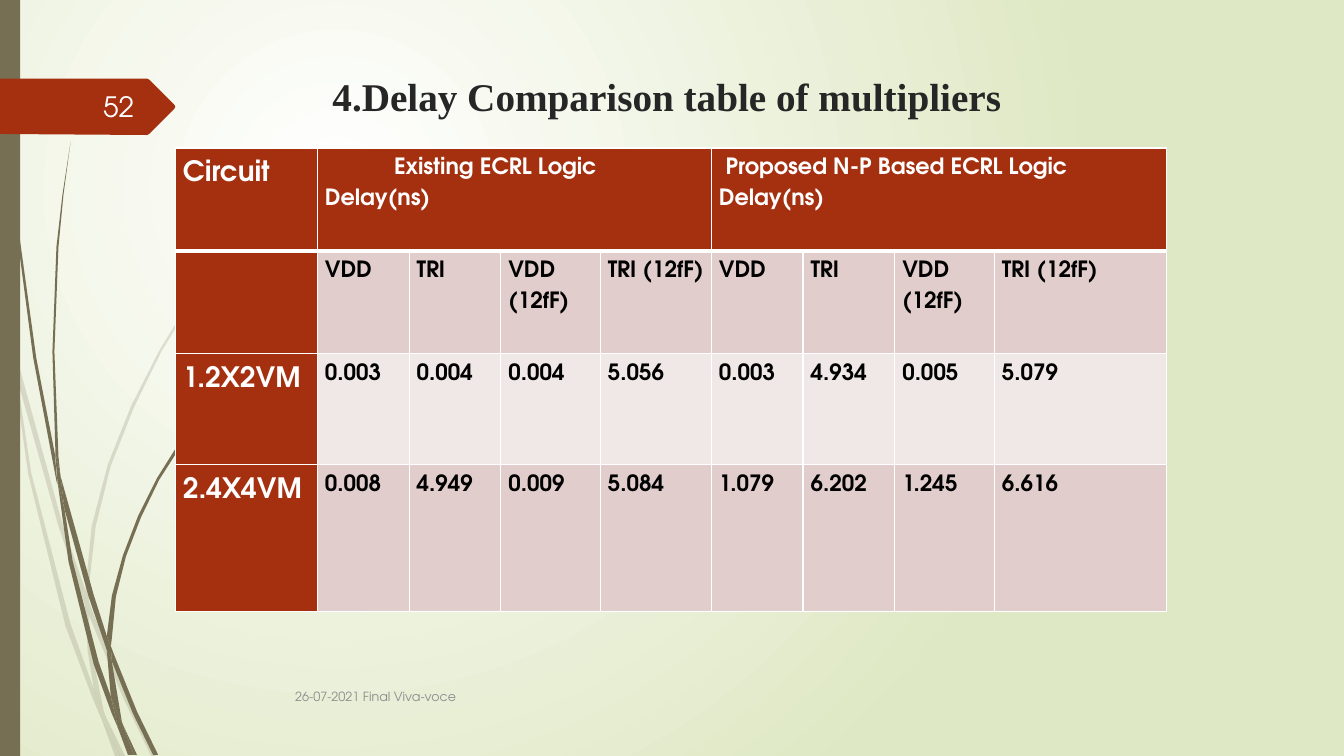
from lxml import etree
from pptx import Presentation
from pptx.dml.color import RGBColor
from pptx.enum.shapes import MSO_SHAPE
from pptx.enum.text import MSO_ANCHOR, PP_ALIGN
from pptx.oxml.ns import qn
from pptx.util import Cm, Pt

RECT = MSO_SHAPE.RECTANGLE
TOP, MIDDLE = MSO_ANCHOR.TOP, MSO_ANCHOR.MIDDLE
LEFT, RIGHT = PP_ALIGN.LEFT, PP_ALIGN.RIGHT

WHITE = RGBColor(0xFF, 0xFF, 0xFF)
BLACK = RGBColor(0x00, 0x00, 0x00)
GREEN = RGBColor(0xDF, 0xE8, 0xC4)
OLIVE = RGBColor(0x76, 0x6F, 0x54)
RUST = RGBColor(0xA5, 0x30, 0x10)
ROSE = RGBColor(0xE1, 0xCD, 0xCC)
PALE = RGBColor(0xF0, 0xE8, 0xE7)
DARK = RGBColor(0x26, 0x26, 0x26)
GRAY = RGBColor(0x8C, 0x8C, 0x8C)

# Outlines are in hundredths of an inch.
UNIT = Cm(2.54) / 100
BACK = [
    [(11, 350), (9, 322), (0, 282), (0, 299), (10, 344)],
    [(58, 522), (84, 599), (85, 586), (62, 520), (14, 345), (17, 376)],
    [(92, 607), (88, 596), (88, 610), (123, 694), (150, 750), (155, 750),
     (127, 692)],
    [(119, 750), (124, 750), (105, 711)],
    [(93, 683), (70, 619), (31, 469), (17, 376), (11, 350), (28, 470),
     (65, 621), (92, 693), (101, 714), (99, 707)],
    [(84, 599), (87, 646), (93, 683), (96, 692), (105, 711), (103, 706),
     (91, 646), (88, 610), (88, 608)],
    [(88, 584), (95, 522), (110, 462), (133, 404), (160, 349), (193, 295),
     (229, 245), (268, 198), (290, 175), (312, 154), (312, 153), (289, 175),
     (268, 197), (228, 244), (191, 294), (158, 348), (130, 403), (107, 461),
     (91, 522), (85, 584), (85, 586), (88, 596)],
    [(101, 714), (114, 750), (119, 750)],
    [(88, 608), (88, 610), (88, 596), (85, 586), (84, 599)],
    [(96, 692), (93, 683), (99, 707), (101, 714), (119, 750), (105, 711)],
]
FRONT = [
    [(7, 110), (17, 233), (33, 355), (56, 477), (57, 481), (55, 457),
     (55, 453), (36, 355), (19, 232), (8, 109), (5, 48), (4, 0), (3, 0),
     (4, 48)],
    [(88, 592), (106, 645), (106, 633), (106, 631), (93, 590), (60, 472),
     (64, 505)],
    [(113, 649), (110, 641), (111, 656), (132, 708), (152, 749), (157, 749),
     (136, 706)],
    [(110, 691), (98, 657), (72, 556), (64, 505), (57, 477), (68, 557),
     (93, 659), (111, 708), (117, 722), (116, 717)],
    [(60, 472), (58, 453), (54, 349), (58, 245), (63, 193), (70, 141),
     (62, 193), (56, 245), (52, 349), (55, 449)],
    [(133, 749), (136, 749), (122, 719)],
    [(57, 477), (64, 505), (60, 472), (55, 449), (55, 453)],
    [(111, 633), (115, 592), (125, 552), (140, 513), (158, 476), (181, 440),
     (205, 406), (231, 374), (245, 359), (261, 344), (260, 344), (245, 358),
     (231, 373), (204, 405), (178, 439), (156, 474), (137, 512), (122, 551),
     (111, 591), (106, 631), (110, 641)],
    [(117, 722), (127, 749), (131, 749)],
    [(106, 645), (110, 691), (116, 706), (122, 719), (121, 716), (111, 656),
     (109, 651)],
    [(106, 645), (109, 651), (111, 656), (110, 641), (106, 631), (106, 633)],
    [(116, 706), (110, 691), (116, 717), (117, 722), (130, 749), (133, 749),
     (122, 719)],
]
ARROW = [(0, 78), (146, 78), (148, 79), (173, 104), (174, 106), (173, 108),
         (148, 133), (146, 134), (0, 133)]

COLS = [3.58, 2.31, 2.31, 2.51, 2.8, 2.31, 2.31, 2.51, 4.35]
ROWS = [2.59, 2.59, 2.8, 3.71]
HEADS = ["VDD", "TRI", "VDD (12fF)", "TRI (12fF)"]
DATA = [
    ["Circuit", "Existing ECRL Logic Delay(ns)", "", "", "",
     "Proposed N-P Based ECRL Logic Delay(ns)", "", "", ""],
    [""] + HEADS * 2,
    ["1.2X2VM", "0.003", "0.004", "0.004", "5.056",
     "0.003", "4.934", "0.005", "5.079"],
    ["2.4X4VM", "0.008", "4.949", "0.009", "5.084",
     "1.079", "6.202", "1.245", "6.616"],
]
INDENT = {1: 1.74, 5: 0.17}


def write(frame, text, size=16, color=BLACK, font="TeX Gyre Adventor",
          bold=False, align=LEFT, line=None, gap=0, indent=0):
    para = frame.paragraphs[0]
    para.alignment = align
    para.space_before = para.space_after = Pt(gap)
    if line:
        para.line_spacing = line
    if indent:
        props = para._p.get_or_add_pPr()
        props.set("marL", "0")
        props.set("indent", str(Cm(indent)))
    run = para.add_run()
    run.text = text
    run.font.size, run.font.name, run.font.bold = Pt(size), font, bold
    run.font.color.rgb = color


def edge(cell, foot):
    """Draw white borders; foot is the width of the lower one in points."""
    props = cell._tc.get_or_add_tcPr()
    for i, (side, width) in enumerate(zip("LRTB", (1, 1, 1, foot))):
        rule = etree.Element(qn("a:ln" + side), w=str(Pt(width)))
        fill = etree.SubElement(rule, qn("a:solidFill"))
        etree.SubElement(fill, qn("a:srgbClr"), val=str(WHITE))
        props.insert(i, rule)


class Page:
    def __init__(self, slide):
        self.slide = slide
        self.shapes = slide.shapes

    def glow(self, inner, outer):
        """Fill the background with a circular gradient."""
        fill = self.slide.background.fill
        fill.gradient()
        for stop, color, place in zip(fill.gradient_stops, (inner, outer),
                                      (0, 1)):
            stop.color.rgb, stop.position = color, place
        grad = self.slide.element.find(".//" + qn("a:gradFill"))
        grad.remove(grad.find(qn("a:lin")))
        path = etree.SubElement(grad, qn("a:path"), path="circle")
        etree.SubElement(path, qn("a:fillToRect"), l="50000", t="50000",
                         r="100000", b="100000")

    def paint(self, shape, color, alpha=100):
        shape.shadow.inherit = False
        shape.fill.solid()
        shape.fill.fore_color.rgb = color
        shape.line.fill.background()
        if alpha < 100:
            tint = shape.element.spPr.find(".//" + qn("a:srgbClr"))
            etree.SubElement(tint, qn("a:alpha"), val=str(alpha * 1000))

    def bar(self, x, y, w, h, color):
        self.paint(self.shapes.add_shape(RECT, Cm(x), Cm(y), Cm(w), Cm(h)),
                   color)

    def shape(self, points, color, alpha=100):
        form = self.shapes.build_freeform(*points[0], scale=UNIT)
        form.add_line_segments(points[1:], close=True)
        self.paint(form.convert_to_shape(), color, alpha)

    def text(self, x, y, w, h, text, anchor=MIDDLE, **style):
        frame = self.shapes.add_textbox(Cm(x), Cm(y), Cm(w), Cm(h)).text_frame
        frame.word_wrap = True
        frame.vertical_anchor = anchor
        write(frame, text, **style)

    def table(self, x, y):
        grid = self.shapes.add_table(len(ROWS), len(COLS), Cm(x), Cm(y),
                                     Cm(sum(COLS)), Cm(sum(ROWS))).table
        for col, width in zip(grid.columns, COLS):
            col.width = Cm(width)
        for row, height in zip(grid.rows, ROWS):
            row.height = Cm(height)
        for c in INDENT:
            grid.cell(0, c).merge(grid.cell(0, c + 3))
        for r, row in enumerate(DATA):
            for c, text in enumerate(row):
                self.cell(grid.cell(r, c), r, c, text)

    def cell(self, cell, r, c, text):
        head = r == 0 or c == 0
        cell.fill.solid()
        cell.fill.fore_color.rgb = (RUST if head else
                                    PALE if r == 2 else ROSE)
        cell.margin_left = cell.margin_right = Cm(0.19)
        cell.margin_top = cell.margin_bottom = 0
        edge(cell, 1 if r else 3)
        if text:
            write(cell.text_frame, text, size=16 if c else 20, bold=True,
                  color=WHITE if head else BLACK, line=1.5, gap=6,
                  indent=0 if r else INDENT.get(c, 0))


def main():
    deck = Presentation()
    deck.slide_width, deck.slide_height = Cm(33.87), Cm(19.05)
    page = Page(deck.slides.add_slide(deck.slide_layouts[6]))
    page.glow(WHITE, GREEN)
    for blade in BACK:
        page.shape(blade, OLIVE, alpha=20)
    for blade in FRONT:
        page.shape(blade, OLIVE)
    page.bar(0, 0, 0.51, 19.05, OLIVE)
    page.shape(ARROW, RUST)
    page.text(8.13, 1.7, 19.6, 1.3, "4.Delay Comparison table of multipliers",
              anchor=TOP, size=28, color=DARK, font="Times New Roman",
              bold=True)
    page.text(7.19, 17.04, 21.16, 1.02, "26-07-2021 Final Viva-voce",
              size=9, color=GRAY)
    page.text(1.47, 2.18, 2.16, 1.02, "52", size=20, color=WHITE, align=RIGHT)
    page.table(4.42, 3.73)
    deck.save("out.pptx")


if __name__ == "__main__":
    main()
